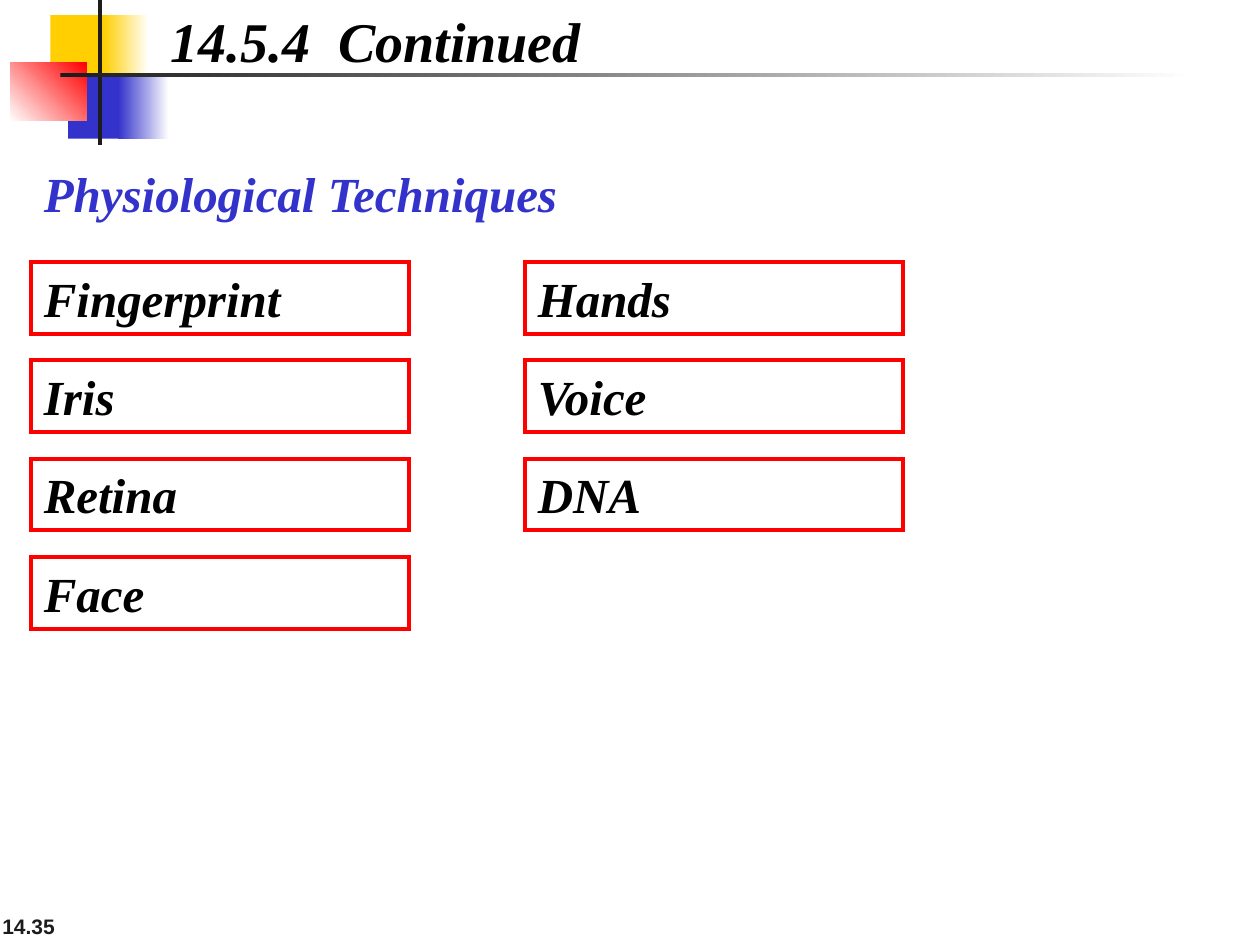
"""Build the slide that lists physiological biometric techniques."""
import lxml.etree
import pptx
import pptx.dml.color
import pptx.enum.shapes
import pptx.enum.text
import pptx.oxml.ns
import pptx.util

Inches = pptx.util.Inches
RGBColor = pptx.dml.color.RGBColor
PP_ALIGN = pptx.enum.text.PP_ALIGN
MSO_ANCHOR = pptx.enum.text.MSO_ANCHOR

YELLOW = RGBColor(0xFF, 0xCF, 0x01)
BLUE = RGBColor(0x33, 0x33, 0xCC)
RED = RGBColor(0xFF, 0x00, 0x00)
CHARCOAL = RGBColor(0x1C, 0x1C, 0x1C)
BLACK = RGBColor(0x00, 0x00, 0x00)
WHITE = RGBColor(0xFF, 0xFF, 0xFF)

presentation = pptx.Presentation()
presentation.slide_width = Inches(10)
presentation.slide_height = Inches(7.5)
slide = presentation.slides.add_slide(presentation.slide_layouts[5])


def add_block(left, top, width, height, colors, angle=0):
    block = slide.shapes.add_shape(
        pptx.enum.shapes.MSO_SHAPE.RECTANGLE,
        Inches(left), Inches(top), Inches(width), Inches(height))
    block.shadow.inherit = False
    block.line.fill.background()
    if len(colors) == 1:
        block.fill.solid()
        block.fill.fore_color.rgb = colors[0]
    else:
        block.fill.gradient()
        block.fill.gradient_angle = angle
        for stop, color in zip(block.fill.gradient_stops, colors):
            stop.color.rgb = color
    return block


def write(holder, text, size, color, align=PP_ALIGN.LEFT, anchor=MSO_ANCHOR.TOP,
          font="Times New Roman", italic=True):
    frame = holder.text_frame
    frame.word_wrap = True
    frame.auto_size = pptx.enum.text.MSO_AUTO_SIZE.NONE
    frame.vertical_anchor = anchor
    paragraph = frame.paragraphs[0]
    paragraph.alignment = align
    run = paragraph.add_run()
    run.text = text
    run.font.name = font
    run.font.size = pptx.util.Pt(size)
    run.font.bold = True
    run.font.italic = italic
    run.font.color.rgb = color


page_number = slide.shapes.add_textbox(Inches(-0.08), Inches(7), Inches(2.08), Inches(0.5))
write(page_number, "14.35", 12, CHARCOAL, anchor=MSO_ANCHOR.BOTTOM, font="Arial", italic=False)

add_block(0.4, 0.12, 0.48, 0.52, [YELLOW])
add_block(0.82, 0.12, 0.36, 0.52, [YELLOW, WHITE])
add_block(0.54, 0.58, 0.46, 0.52, [BLUE])
add_block(0.94, 0.58, 0.4, 0.52, [BLUE, WHITE])
add_block(0.08, 0.5, 0.61, 0.46, [WHITE, RED], angle=45)
add_block(0.78, 0, 0.03, 1.15, [CHARCOAL])
add_block(0.48, 0.58, 9, 0.03, [CHARCOAL, WHITE])

title = slide.shapes.title
title.left, title.top = Inches(1.25), Inches(0)
title.width, title.height = Inches(3.6), Inches(0.64)
write(title, "14.5.4  Continued", 32, BLACK)

heading = add_block(0.25, 1.25, 9.5, 0.57, [WHITE])
write(heading, "Physiological Techniques", 28, BLUE, align=PP_ALIGN.JUSTIFY)

technique_columns = [
    (0.25, ["Fingerprint", "Iris", "Retina", "Face"]),
    (4.17, ["Hands", "Voice", "DNA"]),
]
for left, techniques in technique_columns:
    for row, technique in enumerate(techniques):
        technique_box = add_block(left, 2.08 + 0.78 * row, 3, 0.57, [WHITE])
        technique_box.line.color.rgb = RED
        technique_box.line.width = pptx.util.Pt(2.25)
        outline = technique_box.element.spPr.find(pptx.oxml.ns.qn("a:ln"))
        lxml.etree.SubElement(outline, pptx.oxml.ns.qn("a:miter"), lim="800000")
        write(technique_box, technique, 28, BLACK, align=PP_ALIGN.JUSTIFY)

presentation.save("out.pptx")
